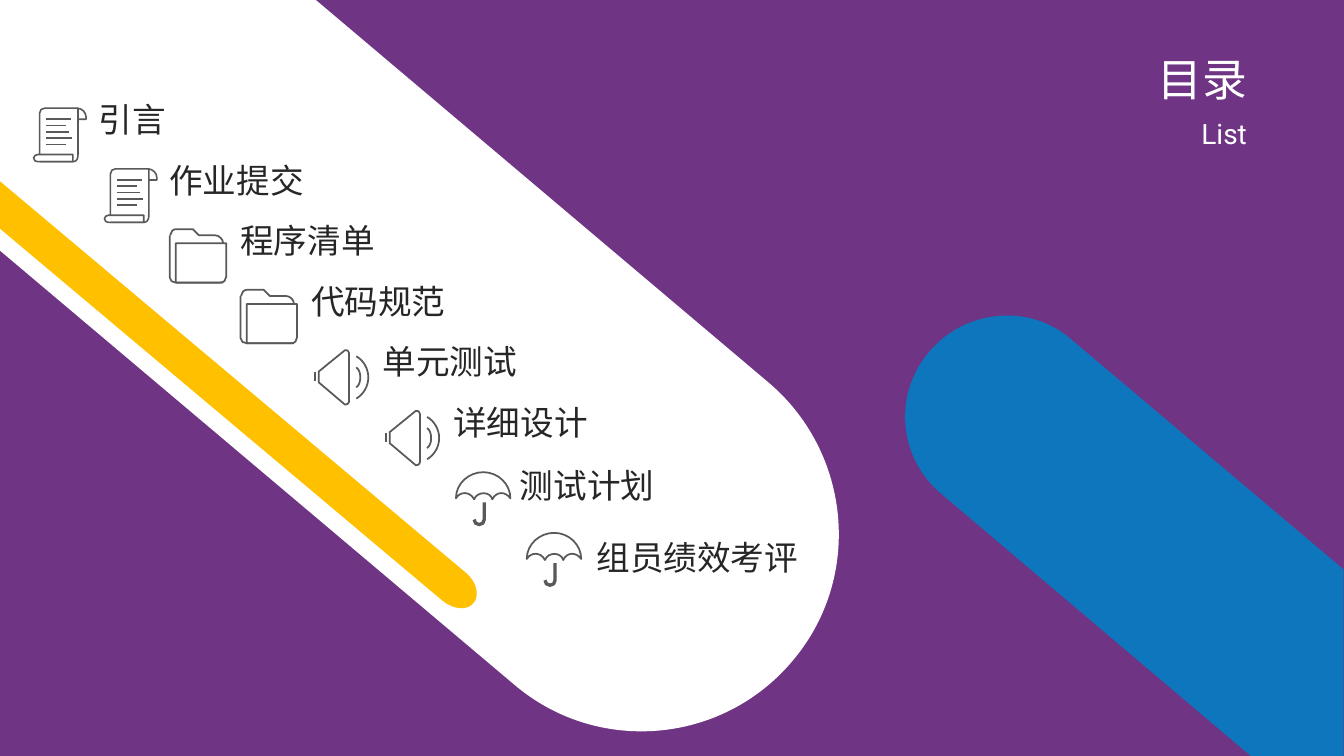
from math import cos, radians, sin

from lxml.etree import SubElement
from pptx import Presentation
from pptx.dml.color import RGBColor
from pptx.enum.shapes import MSO_CONNECTOR as Connector
from pptx.enum.text import MSO_AUTO_SIZE as AutoSize, PP_ALIGN as Align
from pptx.oxml.ns import qn
from pptx.util import Pt

PURPLE, WHITE, YELLOW, BLUE = "6F3484", "FFFFFF", "FFC000", "0E76BC"
INK, OUTLINE = "262626", "595959"

BANDS = [
    (WHITE, 40.2, [
        (-1.4, -1.4), (223.9, -1.4), (549.4, 273.6),
        (608.4, 324, 616.3, 413.3, 565.9, 472.3),
        (515.5, 532.1, 426.2, 539.3, 367.2, 488.9), (-1.4, 177.8)]),
    (YELLOW, 40, [
        (-0.7, 128.9), (332.6, 409), (340.6, 415.4, 342.7, 425.5, 338.4, 430.6),
        (334.1, 436.3, 324, 435.6, 316.1, 429.1), (-0.7, 162.7)]),
    (BLUE, 40.2, [
        (720, 225.4), (735.8, 225.4, 752.4, 231.1, 765.4, 242.6),
        (959.8, 406.8), (959.8, 540), (893.5, 540), (672.5, 352.8),
        (641.5, 326.9, 637.9, 281.5, 663.8, 251.3),
        (678.2, 234, 699.1, 225.4, 720, 225.4)]),
]

SCROLL = [
    (1.13, False, [(5, 33), (5, 3.6), (5, 1.4, 6.5, 0, 8.6, 0), (32.4, 0), (32.4, 33),
                   (32.4, 38.2, 30.2, 38.2, 27.4, 38.2), (5, 38.2)]),
    (1.13, False, [(31.7, 0), (35.3, 0, 38.2, 2.9, 38.2, 6.5), (38.2, 7.9), (32.4, 7.9)]),
    (1.13, True, [(28.8, 38.2), (3.6, 38.2), (2.2, 38.2, 0.7, 37.4, 0.7, 35.6),
                  (0.7, 34.2, 2.2, 33.1, 3.6, 33.1), (28.8, 33.1)]),
] + [(1.13, False, [(9.4, 7.9 + 4.5 * row), (right, 7.9 + 4.5 * row)])
     for row, right in enumerate((27.4, 23.8, 25.9, 28.1, 23.8))]
FOLDER = [
    (1.25, True, [(32.8, 37.9), (1.1, 37.9), (1.1, 9.8), (37.1, 9.8), (37.1, 33.6),
                  (37.1, 35.8, 35.6, 37.9, 32.8, 37.9)]),
    (1.25, False, [(18.4, 4.1), (18.4, 4.1)]),
    (1.25, False, [(34.9, 37.9), (1.1, 37.9), (-1.1, 37.9, -3.2, 36.5, -3.2, 34.3),
                   (-3.2, 4.1)]),
    (1.25, False, [(-2.9, 4.1), (-2.5, 1.9, -1.1, -0.3, 1.1, -0.3), (13.3, -0.3),
                   (17.6, 4.1), (29.2, 4.1), (32, 4.1, 34.9, 6.9, 34.9, 9.8)]),
]
SPEAKER = [
    (1.25, True, [(20.8, 38.3), (2.1, 22.5), (2.1, 14.6), (20.8, -0.6),
                  (22.2, -1.3, 23.7, 0.2, 23.7, 1.6), (23.7, 36.2),
                  (23.7, 37.6, 22.2, 38.3, 20.8, 38.3)]),
    (1.25, False, [(-0.8, 15.3), (-0.8, 21.8)]),
    (1.25, False, [(28.8, 11.7), (30.9, 13.1, 31.7, 16, 31.7, 18.9),
                   (31.7, 21.8, 30.9, 24.6, 28.8, 26.1)]),
    (1.25, False, [(28.8, 3.8), (33.8, 6.6, 37.4, 12.4, 37.4, 18.9),
                   (37.4, 25.4, 33.8, 31.1, 28.8, 34)]),
]
UMBRELLA = [
    (1.25, True, [(11.8, 19.3), (8.9, 13.5, 1.7, 13.5, -1.2, 18.6),
                  (-1.2, 7.8, 8.2, -0.1, 18.3, -0.1), (29.1, -0.1, 37.7, 8.5, 37.7, 18.6),
                  (34.1, 13.5, 27.6, 13.5, 24.8, 19.3), (23.3, 13.5, 14, 13.5, 11.8, 19.3)]),
    (2.38, False, [(19, 21.5), (19, 33.7), (19, 35.8, 17.6, 37.3, 15.4, 37.3),
                   (13.2, 37.3, 11.8, 35.8, 11.8, 33.7)]),
]

TOPICS = [
    ("引言", SCROLL, 257, 0, 0), ("作业提交", SCROLL, 257, 0, 0),
    ("程序清单", FOLDER, 229, 0, 0), ("代码规范", FOLDER, 229, 0, 0),
    ("单元测试", SPEAKER, 253, 0.4, -0.4), ("详细设计", SPEAKER, 253, 0.4, 0),
    ("测试计划", UMBRELLA, 294, -2.6, 1.2), ("组员绩效考评", UMBRELLA, 202, 1.5, 9.4),
]


def paint(format_with_color, color):
    format_with_color.rgb = RGBColor.from_string(color)


def pairs(segment):
    return list(zip(segment[::2], segment[1::2]))


def bezier(start, segment, steps=16):
    controls = [start, *pairs(segment)]
    for step in range(1, steps + 1):
        t = step / steps
        weights = ((1 - t) ** 3, 3 * t * (1 - t) ** 2, 3 * t * t * (1 - t), t ** 3)
        yield tuple(sum(weight * point[axis] for weight, point in zip(weights, controls))
                    for axis in (0, 1))


def transform(segments, change):
    return [tuple(length for point in pairs(segment) for length in change(*point))
            for segment in segments]


def add_outline(slide, segments, closed):
    extent = [segments[0]]
    for segment in segments[1:]:
        extent.extend([segment] if len(segment) == 2 else bezier(extent[-1], segment))
    corners = [(Pt(x), Pt(y)) for x, y in extent]
    builder = slide.shapes.build_freeform(*corners[0], scale=1.0)
    builder.add_line_segments(corners[1:], close=False)
    shape = builder.convert_to_shape()
    shape.shadow.inherit = False
    outline = next(shape._element.iter(qn("a:path")))
    for command in list(outline):
        outline.remove(command)
    for index, segment in enumerate(segments):
        name = "a:cubicBezTo" if len(segment) == 6 else "a:lnTo" if index else "a:moveTo"
        command = SubElement(outline, qn(name))
        for x, y in pairs(segment):
            point = SubElement(command, qn("a:pt"))
            point.set("x", str(Pt(x) - shape.left))
            point.set("y", str(Pt(y) - shape.top))
    if closed:
        SubElement(outline, qn("a:close"))
    return shape


def add_band(slide, left, top, color, rotation, segments):
    cosine, sine = cos(radians(rotation)), sin(radians(rotation))
    level = transform(segments, lambda x, y: ((left + x) * cosine + (top + y) * sine,
                                              (top + y) * cosine - (left + x) * sine))
    shape = add_outline(slide, level, True)
    center_x, center_y = shape.left + shape.width / 2, shape.top + shape.height / 2
    shape.left = round(center_x * cosine - center_y * sine - shape.width / 2)
    shape.top = round(center_x * sine + center_y * cosine - shape.height / 2)
    shape.rotation = rotation
    shape.fill.solid()
    paint(shape.fill.fore_color, color)
    shape.line.fill.background()


def add_stroke(slide, left, top, weight, closed, segments):
    placed = transform(segments, lambda x, y: (left + x, top + y))
    if len(placed) == 2 and len(placed[1]) == 2:
        ends = [Pt(length) for point in placed for length in point]
        shape = slide.shapes.add_connector(Connector.STRAIGHT, *ends)
        SubElement(shape._element.spPr, qn("a:effectLst"))
    else:
        shape = add_outline(slide, placed, closed)
        shape.fill.background()
    shape.line.width = Pt(weight)
    paint(shape.line.color, OUTLINE)
    return shape


def add_text(slide, text, left, top, width, height, size, font, color, align=Align.LEFT):
    shape = slide.shapes.add_textbox(Pt(left), Pt(top), Pt(width), Pt(height))
    frame = shape.text_frame
    frame.word_wrap = True
    frame.auto_size = AutoSize.SHAPE_TO_FIT_TEXT
    paragraph = frame.paragraphs[0]
    paragraph.alignment = align
    run = paragraph.add_run()
    run.text = text
    run.font.size = Pt(size)
    paint(run.font.color, color)
    run.font.name = font
    SubElement(run.font._element, qn("a:ea")).set("typeface", font)


def add_heading(slide, left, top, width):
    style = dict(color=WHITE, align=Align.RIGHT)
    add_text(slide, "目录", left + 98.6, top, width - 98.6, 46,
             size=32, font="Noto Sans Mono", **style)
    add_text(slide, "List", left, top + 46.4, width, 31.5, size=20, font="Roboto", **style)


def add_topics(slide, left, top, step_x, step_y):
    for index, (label, icon, width, shift_x, shift_y) in enumerate(TOPICS):
        x, y = left + index * step_x, top + index * step_y
        slide.shapes.add_group_shape([add_stroke(slide, x, y, *stroke) for stroke in icon])
        add_text(slide, label, x + 40 + shift_x, y - 10.3 + shift_y, width, 36,
                 size=24, font="Arial", color=INK)


def main():
    presentation = Presentation()
    presentation.slide_width, presentation.slide_height = Pt(960), Pt(540)
    slide = presentation.slides.add_slide(presentation.slide_layouts[6])
    slide.background.fill.solid()
    paint(slide.background.fill.fore_color, PURPLE)
    for band in BANDS:
        add_band(slide, 0, 0, *band)
    add_heading(slide, 547.2, 33.6, 350.6)
    add_topics(slide, 23.3, 77.3, 50.6, 43.35)
    presentation.save("out.pptx")


if __name__ == "__main__":
    main()
